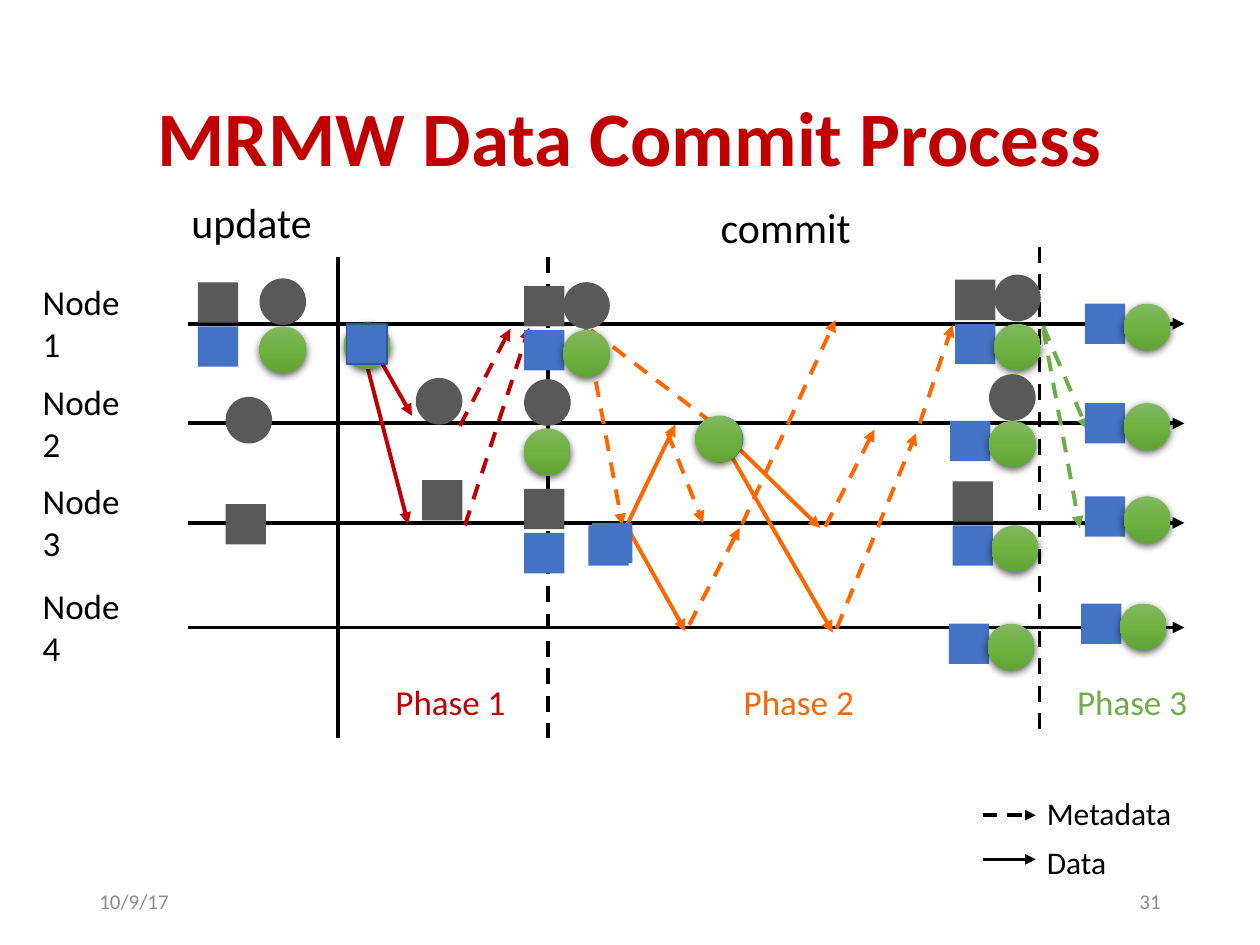
from copy import deepcopy

from lxml import etree
from pptx import Presentation
from pptx import util as u
from pptx.dml.color import RGBColor
from pptx.enum import dml, shapes, text
from pptx.oxml import ns

BLACK = RGBColor(0x00, 0x00, 0x00)
RED = RGBColor(0xC0, 0x00, 0x00)
ORANGE = RGBColor(0xFF, 0x66, 0x00)
GREEN = RGBColor(0x70, 0xAD, 0x47)
GRAY = RGBColor(0x59, 0x59, 0x59)
BLUE = RGBColor(0x44, 0x72, 0xC4)
BLUE_EDGE = RGBColor(0x32, 0x54, 0x91)
TEAL = RGBColor(0x5A, 0xA2, 0xAE)
FOOTER = RGBColor(0x8C, 0x8C, 0x8C)
GREEN_STOPS = [(0, RGBColor(0x81, 0xB8, 0x61)),
               (0.5, RGBColor(0x6F, 0xB2, 0x42)),
               (1, RGBColor(0x62, 0xA3, 0x36))]

presentation = Presentation()
presentation.slide_width = u.Inches(10)
presentation.slide_height = u.Inches(7.5)
slide = presentation.slides.add_slide(presentation.slide_layouts[6])

# The slide is a grid of 100 columns by 75 rows of square cells
CELL = presentation.slide_width // 100
SQUARE, CIRCLE = shapes.MSO_SHAPE.RECTANGLE, shapes.MSO_SHAPE.OVAL
SIZES = {SQUARE: 3.2, CIRCLE: 3.7}


def add_line(start, end, color=BLACK, dashed=False, arrow=True, width=2.25,
             parent=slide):
    points = [round(value * CELL) for value in (*start, *end)]
    line = parent.shapes.add_connector(shapes.MSO_CONNECTOR.STRAIGHT, *points)
    line.line.color.rgb = color
    line.line.width = u.Pt(width)
    if dashed:
        line.line.dash_style = dml.MSO_LINE.DASH
    if arrow:
        etree.SubElement(line.line._get_or_add_ln(), ns.qn("a:tailEnd"), type="triangle")
    etree.SubElement(line._element.spPr, ns.qn("a:effectLst"))


def add_marker(kind, column, row, color):
    size = round(SIZES[kind] * CELL)
    shape = slide.shapes.add_shape(kind, round(column * CELL), round(row * CELL), size, size)
    shape.shadow.inherit = False
    shape.line.fill.background()
    if color != GREEN:
        shape.fill.solid()
        shape.fill.fore_color.rgb = color
        return shape
    # Green markers are shaded from top to bottom and cast a shadow
    shape.fill.gradient()
    shape.fill.gradient_angle = 270
    properties = shape._element.spPr
    stop_list = properties.find(".//" + ns.qn("a:gsLst"))
    stop_list.append(deepcopy(stop_list[0]))
    for stop, (position, stop_color) in zip(shape.fill.gradient_stops, GREEN_STOPS):
        stop.position = position
        stop.color.rgb = stop_color
    shadow = etree.SubElement(properties.find(ns.qn("a:effectLst")), ns.qn("a:outerShdw"),
                              blurRad="57150", dist="19050", dir="5400000", rotWithShape="0")
    shadow_color = etree.SubElement(shadow, ns.qn("a:srgbClr"), val="000000")
    etree.SubElement(shadow_color, ns.qn("a:alpha"), val="63000")
    return shape


# Node timelines
NODE_ROWS = [25.7, 33.6, 41.5, 49.8]
for row in NODE_ROWS:
    add_line((14.9, row), (94, row))

# Phase boundaries
add_line((26.8, 20.4), (26.8, 58.6), arrow=False)
add_line((43.5, 20.4), (43.5, 58.6), dashed=True, arrow=False)
add_line((82.5, 19.6), (82.5, 58.6), dashed=True, arrow=False)

# Messages between nodes: start, end, color, metadata (dashed) or data
MESSAGES = [
    ((28.4, 26.2), (32.4, 41.6), RED, False),
    ((28.6, 25.8), (32.7, 33), RED, False),
    ((36.9, 41.7), (42, 26), RED, True),
    ((36.5, 33.8), (40.5, 26.1), RED, True),
    ((46.5, 26), (49.4, 41.7), ORANGE, True),
    ((46.9, 26.2), (57.1, 34), ORANGE, True),
    ((49.7, 41.8), (53.6, 33.7), ORANGE, False),
    ((49.7, 41.7), (54.4, 50.1), ORANGE, False),
    ((53, 34.4), (55.8, 41.5), ORANGE, True),
    ((54.7, 49.6), (58.7, 41.9), ORANGE, True),
    ((58.9, 41.6), (66.3, 25.4), ORANGE, True),
    ((57.1, 34.1), (65.1, 41.9), ORANGE, False),
    ((56.9, 34.2), (66.1, 50.2), ORANGE, False),
    ((65.5, 41.8), (69.4, 34.1), ORANGE, True),
    ((66.4, 49.9), (72.7, 34.4), ORANGE, True),
    ((73, 33.6), (75.6, 25.8), ORANGE, True),
    ((82.8, 26.1), (85.7, 41.9), GREEN, True),
    ((82.8, 25.9), (86.3, 34.1), GREEN, True),
]
for start, end, color, is_metadata in MESSAGES:
    add_line(start, end, color, is_metadata)

# Nodes holding both new values: blue square with a green circle beside it
for column, row in [(41.6, 26.2), (75.8, 25.7), (75.4, 33.4), (75.6, 41.7), (75.3, 49.5),
                    (86.1, 24.1), (86.1, 32), (86.1, 39.4), (85.8, 47.9)]:
    add_marker(SQUARE, column, row, BLUE)
    add_marker(CIRCLE, column + 3.1, row, GREEN)

# Old values
for column, row in [(15.7, 22.4), (17.9, 40), (33.5, 38.1), (41.6, 22.7),
                    (75.8, 22.2), (75.6, 38.2), (41.6, 38.8)]:
    add_marker(SQUARE, column, row, GRAY)
for column, row in [(20.6, 22.1), (17.9, 31.5), (33, 30), (44.7, 22.4),
                    (78.9, 21.8), (78.5, 29.7), (41.6, 30.1)]:
    add_marker(CIRCLE, column, row, GRAY)

# New values on their own or in transit
for kind, column, row, color in [
        (SQUARE, 15.7, 25.9, BLUE), (CIRCLE, 20.6, 25.9, GREEN),
        (CIRCLE, 41.6, 34, GREEN), (SQUARE, 41.6, 42.3, BLUE),
        (SQUARE, 46.7, 41.7, BLUE), (SQUARE, 47, 41.5, BLUE),
        (CIRCLE, 55.3, 33, TEAL), (CIRCLE, 55.2, 33, GREEN),
        (CIRCLE, 27.3, 25.6, GREEN)]:
    add_marker(kind, column, row, color)
sent_square = add_marker(SQUARE, 27.5, 25.7, BLUE)
sent_square.line.color.rgb = BLUE_EDGE
sent_square.line.width = u.Pt(1)

# Legend arrows
legend = slide.shapes.add_group_shape()
for row, is_metadata in [(64.7, True), (68.2, False)]:
    add_line((78, row), (82.2, row), dashed=is_metadata, width=2, parent=legend)

# Text: words, column, row, columns wide, rows high, size, color, alignment
LEFT, CENTER, RIGHT = text.PP_ALIGN.LEFT, text.PP_ALIGN.CENTER, text.PP_ALIGN.RIGHT
LABELS = [
    ("MRMW Data Commit Process", 6.9, 4, 86.2, 14.5, 44, RED, CENTER),
    ("update", 14.2, 15.1, 11.7, 5, 24, BLACK, LEFT),
    ("commit", 56.2, 15.5, 12.5, 5, 24, BLACK, LEFT),
    ("Phase 1", 30.4, 53.5, 11.2, 4.4, 20, RED, LEFT),
    ("Phase 2", 58, 53.5, 10.8, 4.4, 20, ORANGE, CENTER),
    ("Phase 3", 84.5, 53.5, 11.4, 4.4, 20, GREEN, LEFT),
    ("Metadata", 82.1, 62.5, 12.1, 4, 18, BLACK, LEFT),
    ("Data", 82.1, 66.4, 6.8, 4, 18, BLACK, LEFT),
    ("10/9/17", 6.9, 69.5, 22.5, 4, 12, FOOTER, LEFT),
    ("31", 70.6, 69.5, 22.5, 4, 12, FOOTER, RIGHT),
]
LABELS += [(f"Node {number}", 2.4, row - 2.3, 10.1, 4.4, 20, BLACK, LEFT)
           for number, row in enumerate(NODE_ROWS, 1)]
for words, *box, size, color, alignment in LABELS:
    label = slide.shapes.add_textbox(*(round(value * CELL) for value in box))
    frame = label.text_frame
    frame.word_wrap = size in (12, 20, 44)
    frame.vertical_anchor = text.MSO_ANCHOR.MIDDLE
    paragraph = frame.paragraphs[0]
    paragraph.text = words
    paragraph.alignment = alignment
    paragraph.font.name = "Calibri"
    paragraph.font.size = u.Pt(size)
    paragraph.font.color.rgb = color
    if size == 44:
        paragraph.font.bold = True
        paragraph.line_spacing = 0.9

presentation.save("out.pptx")
